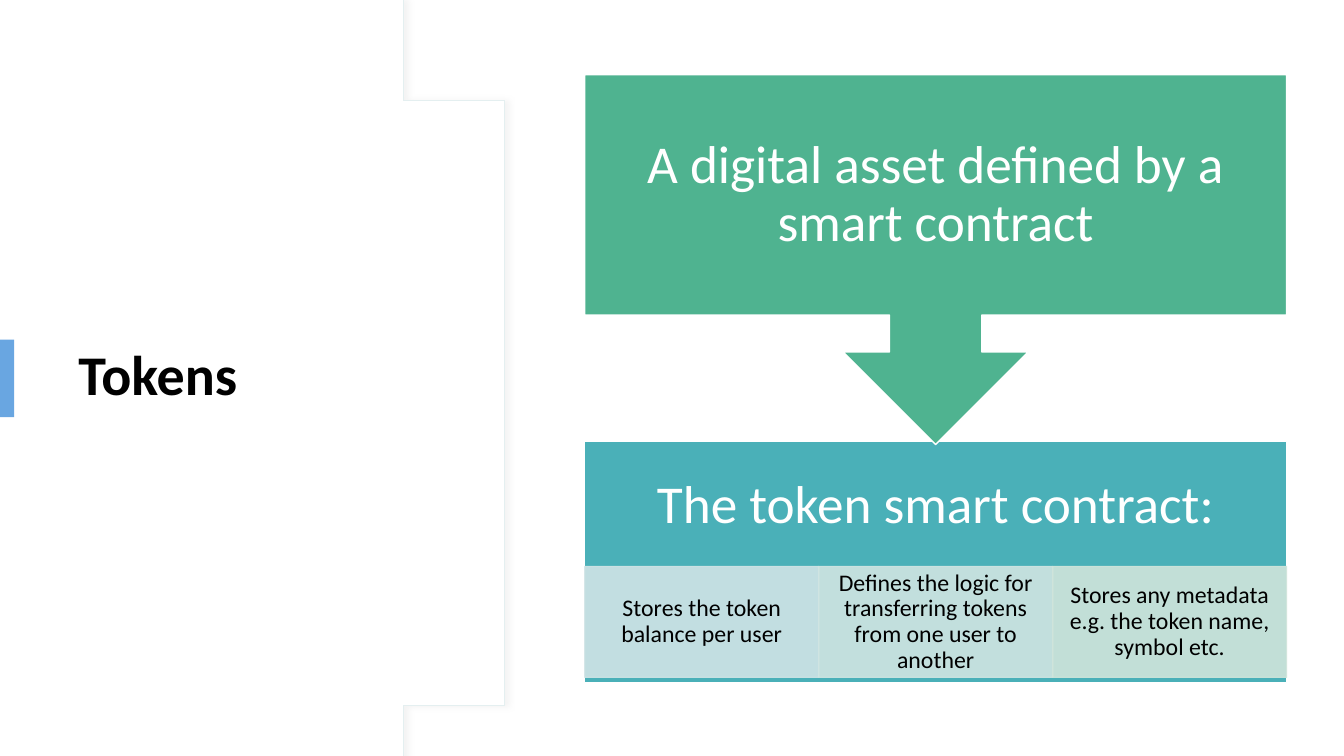
from lxml import etree
from pptx import Presentation
from pptx.dml.color import RGBColor
from pptx.enum import shapes, text
from pptx.oxml.ns import qn
from pptx.util import Inches, Pt

# Content
TITLE = "Tokens"
DEFINITION = "A digital asset defined by a smart contract"
CONTRACT = "The token smart contract:"
DUTIES = [
    ("Stores the token balance per user", "duty1"),
    ("Defines the logic for transferring tokens from one user to another", "duty2"),
    ("Stores any metadata e.g. the token name, symbol etc.", "duty3"),
]
COLORS = {
    "white": "FFFFFF", "black": "000000", "accent": "69A6E1",
    "edge": "E4EFF0", "shade": "D9D9D9",
    "definition": "4FB390", "contract": "4AB0B8",
    "duty1": "D0E4E6", "duty2": "D0E5E2", "duty3": "D0E5DB",
}
FONT = "Calibri"

# Layout, in inches
SLIDE_W, SLIDE_H = 13.33, 7.5
LEFT, WIDTH = 5.8, 6.96
DEFINITION_TOP, CALLOUT_H = 0.74, 3.67
CONTRACT_TOP, BLOCK_H, HEADING_H = 4.38, 2.39, 1.29
DUTY_TOP, DUTY_H = 5.62, 1.1
DUTY_W = WIDTH / len(DUTIES)
HEADING_INSETS = (0.3, 0.3)
# The right edge of the panel: a start point, then Bezier segments
EDGE_START = (4.01, 0.08)
EDGE_CURVES = [
    ((4.79, 1.02), (5.27, 2.32), (5.27, 3.75)),
    ((5.27, 5.18), (4.79, 6.48), (4.01, 7.42)),
]
CURVE_STEPS = 40

prs = Presentation()
prs.slide_width, prs.slide_height = Inches(SLIDE_W), Inches(SLIDE_H)
slide = prs.slides.add_slide(prs.slide_layouts[6])


def rgb(name):
    return RGBColor.from_string(COLORS[name])


def paint(shape, fill, line=None, width=1):
    shape.shadow.inherit = False
    shape.fill.solid()
    shape.fill.fore_color.rgb = rgb(fill)
    if line:
        shape.line.color.rgb = rgb(line)
        shape.line.width = Pt(width)
    else:
        shape.line.fill.background()


def add_block(kind, left, top, width, height, fill, line=None):
    block = slide.shapes.add_shape(
        kind, Inches(left), Inches(top), Inches(width), Inches(height))
    paint(block, fill, line)
    return block


def add_label(left, top, width, height):
    return slide.shapes.add_textbox(
        Inches(left), Inches(top), Inches(width), Inches(height))


def write(shape, words, size, color, insets, align=text.PP_ALIGN.CENTER, bold=False):
    frame = shape.text_frame
    frame.word_wrap = True
    frame.vertical_anchor = text.MSO_ANCHOR.MIDDLE
    frame.margin_left = frame.margin_right = Inches(insets[0])
    frame.margin_top = frame.margin_bottom = Inches(insets[1])
    paragraph = frame.paragraphs[0]
    paragraph.alignment = align
    paragraph.line_spacing = 0.9
    run = paragraph.add_run()
    run.text = words
    run.font.name, run.font.size, run.font.bold = FONT, Pt(size), bold
    run.font.color.rgb = rgb(color)


def add_alpha(shape, percent):
    for color in shape.element.spPr.iter(qn("a:srgbClr")):
        etree.SubElement(color, qn("a:alpha"), val=str(percent * 1000))


def bezier(start, first, second, end):
    for step in range(1, CURVE_STEPS + 1):
        t = step / CURVE_STEPS
        yield tuple((1 - t) ** 3 * a + 3 * (1 - t) ** 2 * t * b
                    + 3 * (1 - t) * t ** 2 * c + t ** 3 * d
                    for a, b, c, d in zip(start, first, second, end))


# Curved title panel with a soft shadow
outline = [(3.94, 0), EDGE_START]
for curve in EDGE_CURVES:
    outline.extend(bezier(outline[-1], *curve))
outline += [(3.94, SLIDE_H), (0, SLIDE_H)]
builder = slide.shapes.build_freeform(0, 0, scale=Inches(1))
builder.add_line_segments(outline, close=True)
panel = builder.convert_to_shape()
paint(panel, "white", "edge", 0.75)
effects = panel.element.spPr.find(qn("a:effectLst"))
shadow = etree.SubElement(effects, qn("a:outerShdw"), blurRad=str(Pt(4)),
                          dist=str(Pt(3)), dir="0", rotWithShape="0")
shade = etree.SubElement(shadow, qn("a:srgbClr"), val=COLORS["shade"])
etree.SubElement(shade, qn("a:alpha"), val="30000")

# Title and its accent bar
write(add_label(0.68, 1.27, 3.94, 4.95), TITLE, 40, "black", (0.1, 0.05),
      text.PP_ALIGN.LEFT, True)
add_block(shapes.MSO_SHAPE.RECTANGLE, 0, 3.37, 0.14, 0.77, "accent")

# Token smart contract and its duties
add_block(shapes.MSO_SHAPE.RECTANGLE, LEFT, CONTRACT_TOP, WIDTH, BLOCK_H,
          "contract", "white")
write(add_label(LEFT, CONTRACT_TOP, WIDTH, HEADING_H), CONTRACT, 38, "white",
      HEADING_INSETS)
for column, (words, color) in enumerate(DUTIES):
    duty = add_block(shapes.MSO_SHAPE.RECTANGLE, LEFT + column * DUTY_W, DUTY_TOP,
                     DUTY_W, DUTY_H, color, color)
    add_alpha(duty, 90)
    write(duty, words, 17, "black", (0.13, 0.02))

# Definition, in a callout turned to point down
callout = add_block(shapes.MSO_SHAPE.UP_ARROW_CALLOUT, LEFT, DEFINITION_TOP,
                    WIDTH, CALLOUT_H, "definition", "white")
callout.rotation = 180
write(add_label(LEFT, DEFINITION_TOP, WIDTH, BLOCK_H), DEFINITION, 38, "white",
      HEADING_INSETS)

prs.save("out.pptx")
